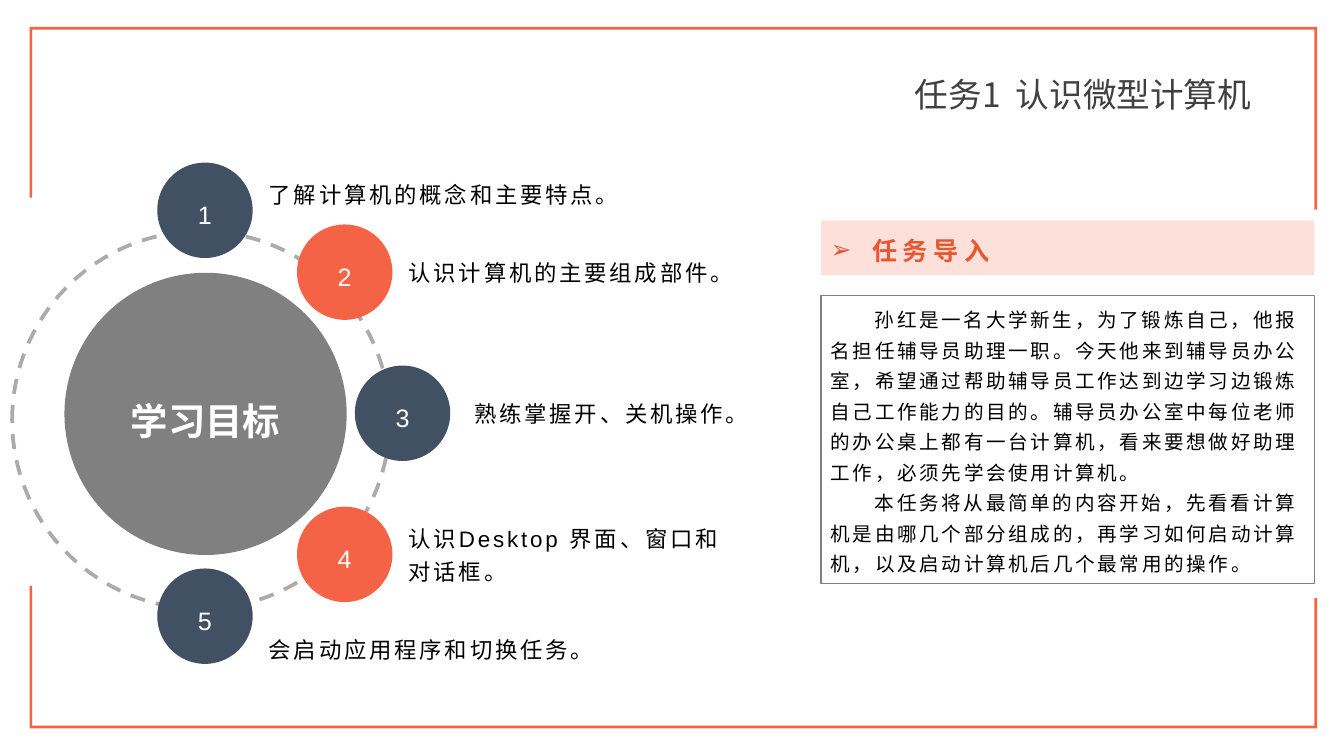
from lxml.etree import SubElement
from pptx import Presentation
from pptx.dml.color import RGBColor
from pptx.enum.dml import MSO_LINE_DASH_STYLE as Dash
from pptx.enum.shapes import MSO_SHAPE as Shape
from pptx.enum.text import MSO_ANCHOR as Anchor, MSO_AUTO_SIZE as AutoSize, PP_ALIGN as Align
from pptx.oxml.ns import qn
from pptx.util import Inches, Pt

CORAL = RGBColor(0xF4, 0x63, 0x46)
NAVY = RGBColor(0x41, 0x51, 0x63)
GRAY = RGBColor(0x80, 0x80, 0x80)
RING_GRAY = RGBColor(0x59, 0x59, 0x59)
TITLE_GRAY = RGBColor(0x40, 0x40, 0x40)
PALE_CORAL = RGBColor(0xFD, 0xE0, 0xDA)
HEADING_RED = RGBColor(0xE9, 0x57, 0x30)
WHITE = RGBColor(0xFF, 0xFF, 0xFF)
BLACK = RGBColor(0, 0, 0)

LATIN_FONT = "Arial"
CJK_FONT = "Noto Sans CJK SC"

SLIDE_WIDTH = Inches(10)
SLIDE_HEIGHT = SLIDE_WIDTH * 9 // 16

BADGE_SIZE = 0.71
# badge left, badge top, goal box (left, top, width, height), goal
GOALS = [
    (1.17, 1.21, (1.93, 1.31, 3.12, 0.28), "了解计算机的概念和主要特点。"),
    (2.21, 1.67, (2.97, 1.89, 2.47, 0.28), "认识计算机的主要组成部件。"),
    (2.64, 2.72, (3.46, 2.94, 2.36, 0.28), "熟练掌握开、关机操作。"),
    (2.21, 3.77, (2.97, 3.87, 2.47, 0.52), "认识Desktop 界面、窗口和对话框。"),
    (1.17, 4.23, (1.93, 4.69, 3.12, 0.28), "会启动应用程序和切换任务。"),
]
INTRODUCTION = [
    "孙红是一名大学新生，为了锻炼自己，他报名担任辅导员助理一职。今天他来到辅导员办公室，"
    "希望通过帮助辅导员工作达到边学习边锻炼自己工作能力的目的。辅导员办公室中每位老师的办公桌上"
    "都有一台计算机，看来要想做好助理工作，必须先学会使用计算机。",
    "本任务将从最简单的内容开始，先看看计算机是由哪几个部分组成的，再学习如何启动计算机，"
    "以及启动计算机后几个最常用的操作。",
]
FRAME_TOP = [(0.22, 0.2), (9.8, 0.2), (9.8, 1.56), (9.78, 1.56),
             (9.78, 0.22), (0.24, 0.22), (0.24, 1.47), (0.22, 1.47)]
FRAME_BOTTOM = [(0.22, 4.36), (0.24, 4.36), (0.24, 5.4), (9.78, 5.4),
                (9.78, 4.45), (9.8, 4.45), (9.8, 5.42), (0.22, 5.42)]


def inches(values):
    return [Inches(value) for value in values]


def paint(shape, fill=None):
    """Give a flat fill, or none, without outline and shadow."""
    shape.shadow.inherit = False
    shape.line.fill.background()
    if fill is None:
        shape.fill.background()
    else:
        shape.fill.solid()
        shape.fill.fore_color.rgb = fill


def add_figure(slide, kind, box, fill=None):
    figure = slide.shapes.add_shape(kind, *inches(box))
    paint(figure, fill)
    return figure


def write(shape, texts, size, color, font=LATIN_FONT, bold=False, tracking=0,
          align=Align.LEFT, spacing=1.0, indent=0, insets=(0.1, 0.05, 0.1, 0.05), **frame_format):
    frame = shape.text_frame
    left, top, right, bottom = inches(insets)
    layout = dict(margin_left=left, margin_top=top, margin_right=right, margin_bottom=bottom,
                  word_wrap=True, vertical_anchor=Anchor.MIDDLE)
    for name, value in (layout | frame_format).items():
        setattr(frame, name, value)
    for index, text in enumerate(texts):
        paragraph = frame.add_paragraph() if index else frame.paragraphs[0]
        paragraph.alignment = align
        paragraph.line_spacing = spacing
        if indent:
            paragraph._p.get_or_add_pPr().set("indent", str(Inches(indent)))
        run = paragraph.add_run()
        run.text = text
        for name, value in dict(size=Pt(size), name=font, bold=bold).items():
            setattr(run.font, name, value)
        run.font.color.rgb = color
        properties = run._r.get_or_add_rPr()
        SubElement(properties, qn("a:ea")).set("typeface", CJK_FONT)
        if tracking:
            properties.set("spc", str(int(tracking * 100)))


def add_bullet(paragraph, character, color, hanging):
    properties = paragraph._p.get_or_add_pPr()
    properties.set("marL", str(Inches(hanging)))
    properties.set("indent", str(-Inches(hanging)))
    bullet_color = SubElement(properties, qn("a:buClr"))
    SubElement(bullet_color, qn("a:srgbClr")).set("val", str(color))
    SubElement(properties, qn("a:buFont")).set("typeface", LATIN_FONT)
    SubElement(properties, qn("a:buChar")).set("char", character)


def add_frame(slide):
    builder = slide.shapes.build_freeform(*inches(FRAME_BOTTOM[0]))
    builder.add_line_segments([inches(point) for point in FRAME_BOTTOM[1:]])
    builder.move_to(*inches(FRAME_TOP[0]))
    builder.add_line_segments([inches(point) for point in FRAME_TOP[1:]])
    paint(builder.convert_to_shape(), CORAL)


def add_ring(slide):
    ring = add_figure(slide, Shape.OVAL, (0.09, 1.72, 2.81, 2.81))
    ring.line.color.rgb = RING_GRAY
    ring.line.width = Pt(2)
    ring.line.dash_style = Dash.DASH
    color = ring.line._ln.find(".//" + qn("a:srgbClr"))
    SubElement(color, qn("a:alpha")).set("val", "50000")


def add_hub(slide):
    hub = add_figure(slide, Shape.OVAL, (0.48, 2.03, 2.1, 2.1), GRAY)
    write(hub, ["学习目标"], 20, WHITE, CJK_FONT, bold=True, align=Align.CENTER, spacing=1.3)


def add_goal(slide, number, left, top, goal_box, goal):
    color = NAVY if number % 2 else CORAL
    badge = add_figure(slide, Shape.OVAL, (left, top, BADGE_SIZE, BADGE_SIZE), color)
    write(badge, [str(number)], 13.5, WHITE, align=Align.CENTER, spacing=1.3)
    label = slide.shapes.add_textbox(*inches(goal_box))
    write(label, [goal], 12, BLACK, tracking=1.5, spacing=1.2,
          insets=(0.07, 0, 0.07, 0.04), auto_size=AutoSize.SHAPE_TO_FIT_TEXT)


def add_introduction(slide):
    panel_insets = (0.07, 0.04, 0.07, 0.04)
    panel = add_figure(slide, Shape.RECTANGLE, (6.11, 2.2, 3.67, 2.14))
    panel.line.color.rgb = GRAY
    panel.line.width = Pt(0.75)
    write(panel, INTRODUCTION, 10.5, BLACK, tracking=1.5, spacing=1.3, indent=0.33,
          insets=panel_insets, vertical_anchor=Anchor.TOP,
          auto_size=AutoSize.SHAPE_TO_FIT_TEXT)
    heading = add_figure(slide, Shape.RECTANGLE, (6.11, 1.64, 3.67, 0.41), PALE_CORAL)
    write(heading, ["任务导入"], 13.5, HEADING_RED, bold=True, tracking=3, spacing=1.3,
          insets=panel_insets, vertical_anchor=Anchor.TOP)
    add_bullet(heading.text_frame.paragraphs[0], "➢", HEADING_RED, 0.31)


def add_title(slide):
    title = slide.shapes.add_textbox(*inches((6.71, 0.5, 2.83, 0.4)))
    write(title, ["任务1  认识微型计算机"], 18, TITLE_GRAY, CJK_FONT, word_wrap=False,
          vertical_anchor=Anchor.TOP, auto_size=AutoSize.SHAPE_TO_FIT_TEXT)


def main():
    deck = Presentation()
    deck.slide_width, deck.slide_height = SLIDE_WIDTH, SLIDE_HEIGHT
    slide = deck.slides.add_slide(deck.slide_layouts[6])
    add_frame(slide)
    add_ring(slide)
    add_hub(slide)
    for number, goal in enumerate(GOALS, start=1):
        add_goal(slide, number, *goal)
    add_introduction(slide)
    add_title(slide)
    deck.save("out.pptx")


if __name__ == "__main__":
    main()
